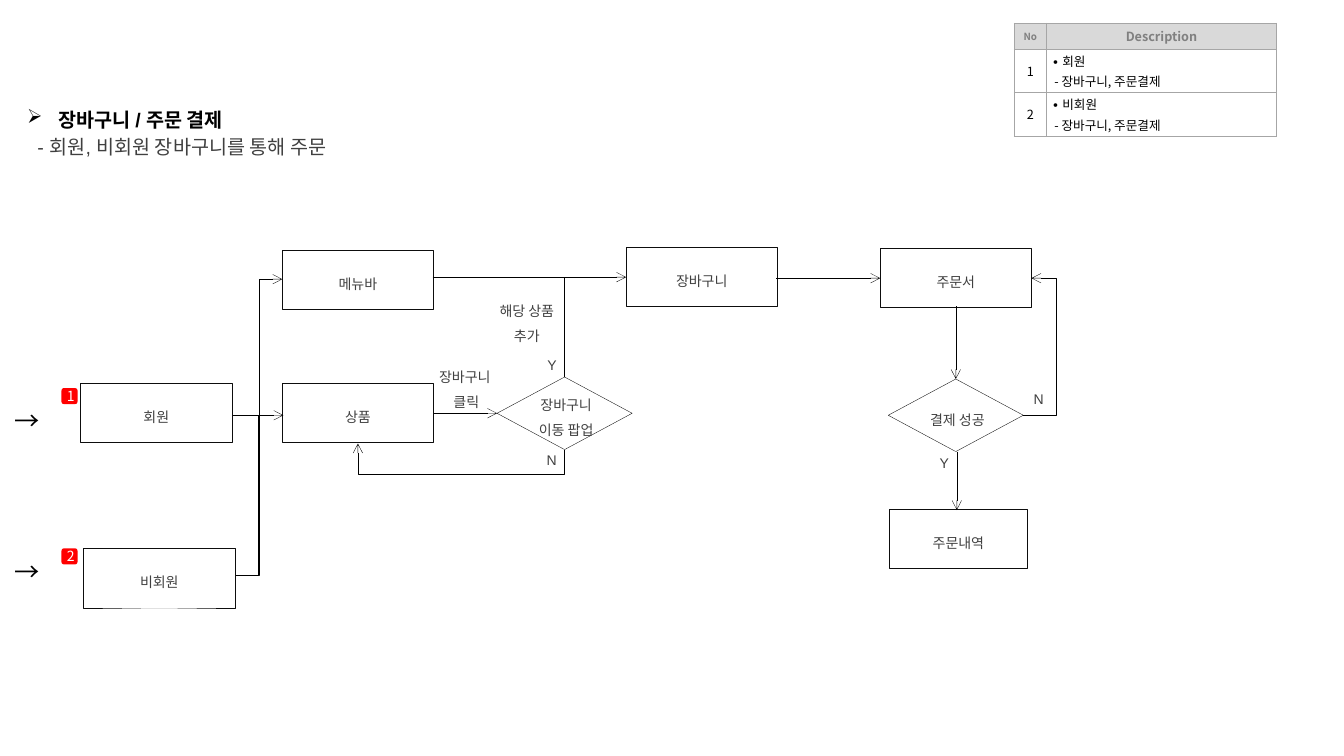
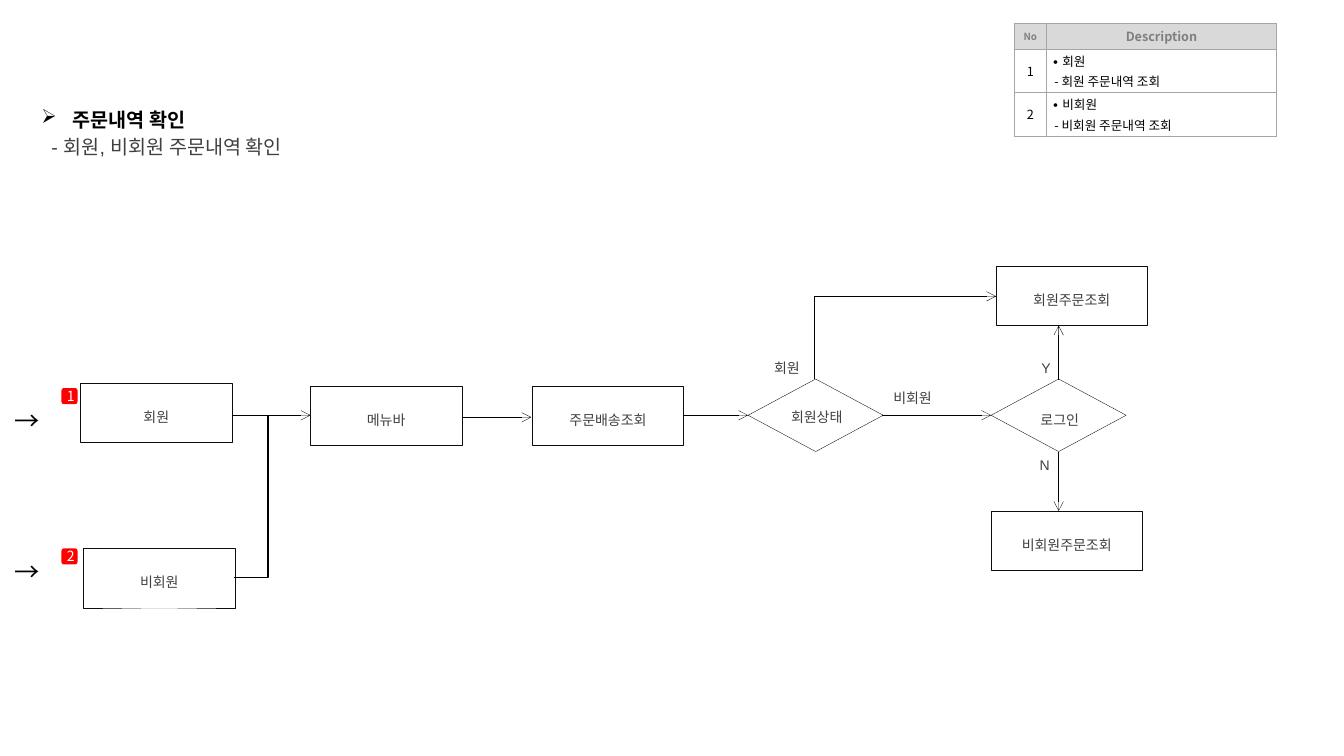
from dataclasses import dataclass

from pptx import Presentation
from pptx import util as u
from pptx.dml.color import RGBColor
from pptx.enum import shapes as kinds
from pptx.enum import text as t
from pptx.oxml import ns
from lxml import etree

SHAPE = kinds.MSO_SHAPE
TOP, LEFT, BOTTOM, RIGHT = range(4)


@dataclass(frozen=True)
class Theme:
    """Colours, fonts and type sizes of the deck."""
    white: str = "FFFFFF"
    black: str = "000000"
    outline: str = "0D0D0D"
    body: str = "404040"
    badge: str = "FF0000"
    header_fill: str = "D9D9D9"
    header_text: str = "808080"
    grid: str = "A6A6A6"
    font: str = "Arial"
    korean: str = "Noto Sans CJK KR"
    heading: float = 14
    entry: float = 18
    label: float = 10
    table: float = 9
    number_header: float = 7
    thin: float = 0.25
    thick: float = 1


THEME = Theme()


def color(value):
    """Turn a hex string into a colour."""
    return RGBColor.from_string(value)


def inches(*values):
    """Convert several numbers to lengths."""
    return [u.Inches(value) for value in values]


def add_xml(parent, tag, **attributes):
    """Append a drawing element to a parent element."""
    return etree.SubElement(parent, ns.qn(tag), **attributes)


def write(frame, content, size=THEME.label, ink=THEME.body, font=THEME.font,
          bold=False, align=t.PP_ALIGN.LEFT, spacing=1.0, before=0, after=0):
    """Fill a text frame with one formatted paragraph per line."""
    frame.text = content
    for paragraph in frame.paragraphs:
        paragraph.alignment = align
        paragraph.line_spacing = spacing
        paragraph.space_before = u.Pt(before)
        paragraph.space_after = u.Pt(after)
        for run in paragraph.runs:
            run.font.size = u.Pt(size)
            run.font.bold = bold
            run.font.name = font
            run.font.color.rgb = color(ink)
            add_xml(run.font._element, "a:ea", typeface=THEME.korean)


def place(shape, left, top, width, height):
    """Move and size a shape."""
    shape.left, shape.top, shape.width, shape.height = inches(left, top, width, height)


def clear_margins(frame):
    """Remove the insets of a text frame."""
    frame.margin_left = frame.margin_right = frame.margin_top = frame.margin_bottom = 0


def add_heading(slide, left, title, subtitle):
    """Fill the title and body placeholders."""
    heading, body = slide.placeholders
    place(heading, left, 1.02, 4.76, 0.25)
    place(body, left, 1.29, 5.22, 0.34)
    for shape in (heading, body):
        shape.text_frame.word_wrap = True
        shape.text_frame.vertical_anchor = t.MSO_ANCHOR.TOP
        shape.text_frame.auto_size = t.MSO_AUTO_SIZE.SHAPE_TO_FIT_TEXT
    clear_margins(heading.text_frame)
    write(heading.text_frame, title, size=THEME.heading, ink=THEME.black, bold=True,
          spacing=1.2)
    write(body.text_frame, subtitle, size=THEME.heading, after=6)
    hang = u.Inches(0.31)
    set_bullet(heading.text_frame.paragraphs[0], hang, "a:buChar", char="➢")
    set_bullet(body.text_frame.paragraphs[0], 0, "a:buNone")


def set_bullet(paragraph, hang, tag, **attributes):
    """Give a paragraph its bullet and hanging indent."""
    properties = paragraph._p.get_or_add_pPr()
    properties.set("marL", str(hang))
    properties.set("indent", str(-hang))
    add_xml(properties, tag, **attributes)


def add_shape(slide, kind, frame, fill, outline=None):
    """Add a flat preset shape."""
    shape = slide.shapes.add_shape(kind, *inches(*frame))
    shape.shadow.inherit = False
    shape.fill.solid()
    shape.fill.fore_color.rgb = color(fill)
    if outline:
        shape.line.color.rgb = color(outline)
        shape.line.width = u.Pt(THEME.thin)
    else:
        shape.line.fill.background()
    shape.text_frame.vertical_anchor = t.MSO_ANCHOR.MIDDLE
    return shape


def add_box(slide, left, top, content, width=1.5):
    """Add a process box."""
    box = add_shape(slide, SHAPE.RECTANGLE, (left, top, width, 0.59),
                    THEME.white, THEME.outline)
    write(box.text_frame, content, align=t.PP_ALIGN.CENTER, spacing=1.5)
    return box


def add_text(slide, frame, content, **style):
    """Add an unwrapped text box."""
    box = slide.shapes.add_textbox(*inches(*frame))
    box.text_frame.word_wrap = False
    box.text_frame.auto_size = t.MSO_AUTO_SIZE.SHAPE_TO_FIT_TEXT
    write(box.text_frame, content, **style)


def add_branch(slide, left, top, content, width=0.31):
    """Add the label of a decision branch."""
    add_text(slide, (left, top, width, 0.27), content, align=t.PP_ALIGN.RIGHT)


def add_decision(slide, left, top, content, text_frame):
    """Add a decision diamond with its text over it."""
    diamond = add_shape(slide, SHAPE.FLOWCHART_DECISION, (left, top, 1.34, 0.72),
                        THEME.white, THEME.outline)
    add_text(slide, text_frame, content, align=t.PP_ALIGN.CENTER, spacing=1.5)
    return diamond


def add_caption(slide, left, top, content):
    """Add a white two-line caption."""
    caption = add_shape(slide, SHAPE.RECTANGLE, (left, top, 1.41, 0.3), THEME.white)
    caption.text_frame.word_wrap = False
    clear_margins(caption.text_frame)
    write(caption.text_frame, content, align=t.PP_ALIGN.CENTER, spacing=1.5)


def add_route(slide, *points, start=None, end=None, weight=THEME.thin, arrow=True):
    """Draw a connector along right-angled points."""
    (x1, y1), (x2, y2) = points[0], points[-1]
    bends = len(points) - 2
    upright = bends > 0 and points[1][0] == x1
    run, rise = (y2 - y1, x1 - x2) if upright else (x2 - x1, y2 - y1)
    middle_x, middle_y = (x1 + x2) / 2, (y1 + y2) / 2
    ends = inches(middle_x - run / 2, middle_y - rise / 2,
                  middle_x + run / 2, middle_y + rise / 2)
    kind = kinds.MSO_CONNECTOR.ELBOW if bends else kinds.MSO_CONNECTOR.STRAIGHT
    connector = slide.shapes.add_connector(kind, *ends)
    if start:
        connector.begin_connect(*start)
    if end:
        connector.end_connect(*end)
    connector.begin_x, connector.begin_y, connector.end_x, connector.end_y = ends
    if upright:
        connector.rotation = 90
    properties = connector._element.spPr
    geometry = properties.find(ns.qn("a:prstGeom"))
    if bends == 1:
        geometry.set("prst", "bentConnector2")
    elif bends == 2:
        first = points[1][1] - y1 if upright else points[1][0] - x1
        add_xml(geometry.find(ns.qn("a:avLst")), "a:gd", name="adj1",
                fmla=f"val {round(first / run * 100000)}")
    connector.line.color.rgb = color(THEME.black)
    connector.line.width = u.Pt(weight)
    if arrow:
        add_xml(properties.find(ns.qn("a:ln")), "a:tailEnd", type="arrow")
    add_xml(properties, "a:effectLst")


def format_cell(cell, content, fill, **style):
    """Write a table cell with its borders and fill."""
    properties = cell._tc.get_or_add_tcPr()
    for side in ("a:lnL", "a:lnR", "a:lnT", "a:lnB"):
        border = add_xml(properties, side, w=str(u.Pt(0.5)))
        add_xml(add_xml(border, "a:solidFill"), "a:srgbClr", val=THEME.grid)
    cell.fill.solid()
    cell.fill.fore_color.rgb = color(fill)
    cell.margin_left = cell.margin_right = u.Inches(0.05)
    cell.margin_top = cell.margin_bottom = 0
    cell.vertical_anchor = t.MSO_ANCHOR.MIDDLE
    write(cell.text_frame, content, font=THEME.korean, before=1.8, **style)


def add_description(slide, notes):
    """Add the numbered description table."""
    frame = slide.shapes.add_table(len(notes) + 1, 2, *inches(10.06, 0.23, 2.6, 1.12))
    table = frame.table
    for column, width in zip(table.columns, (0.32, 2.28)):
        column.width = u.Inches(width)
    for index, row in enumerate(table.rows):
        row.height = u.Inches(0.43 if index else 0.26)
    center = t.PP_ALIGN.CENTER
    headers = (("No", THEME.number_header), ("Description", THEME.table))
    for index, (content, size) in enumerate(headers):
        format_cell(table.cell(0, index), content, THEME.header_fill, size=size,
                    ink=THEME.header_text, bold=True, align=center)
    for index, note in enumerate(notes, 1):
        for column, (content, align) in enumerate(((str(index), center),
                                                   (note, t.PP_ALIGN.LEFT))):
            format_cell(table.cell(index, column), content, THEME.white,
                        size=THEME.table, ink=THEME.black, align=align)


def add_entries(slide):
    """Add the numbered member and guest entry points."""
    entries = (("회원", 0.8, 3.8, 3.85, 3.97), ("비회원", 0.83, 5.44, 5.44, 5.47))
    for number, (name, left, top, badge_top, arrow_top) in enumerate(entries, 1):
        add_box(slide, left, top, name)
        badge = add_shape(slide, SHAPE.ROUNDED_RECTANGLE, (0.61, badge_top, 0.16, 0.16),
                          THEME.badge)
        write(badge.text_frame, str(number), ink=THEME.white, font=THEME.korean,
              align=t.PP_ALIGN.CENTER)
        add_text(slide, (0.05, arrow_top, 0.44, 0.4), "→", size=THEME.entry,
                 ink=THEME.black, font=THEME.korean)


def build_order(slide):
    """Build the cart and payment flow."""
    add_caption(slide, 4.52, 3.02, "해당 상품\n추가")
    add_caption(slide, 3.92, 3.67, "장바구니 \n클릭")
    add_heading(slide, 0.27, "장바구니 / 주문 결제", "- 회원, 비회원 장바구니를 통해 주문")
    add_description(slide, ("∙ 회원\n - 장바구니, 주문결제", "∙ 비회원\n - 장바구니, 주문결제"))
    add_entries(slide)
    product = add_box(slide, 2.8, 3.8, "상품")
    menu = add_box(slide, 2.8, 2.48, "메뉴바")
    cart = add_box(slide, 6.21, 2.45, "장바구니")
    order = add_box(slide, 8.73, 2.46, "주문서")
    add_box(slide, 8.82, 5.05, "주문내역", width=1.37)
    popup = add_decision(slide, 4.93, 3.74, "장바구니\n이동 팝업", (5.21, 3.8, 0.81, 0.57))
    payment = add_decision(slide, 8.81, 3.76, "결제 성공", (9.09, 3.95, 0.81, 0.32))
    add_route(slide, (5.6, 3.74), (5.6, 2.75), (6.21, 2.75),
              start=(popup, TOP), end=(cart, LEFT))
    add_route(slide, (5.6, 4.46), (5.6, 4.71), (3.55, 4.71), (3.55, 4.4),
              start=(popup, BOTTOM), end=(product, BOTTOM))
    add_route(slide, (10.15, 4.12), (10.48, 4.12), (10.48, 2.76), (10.23, 2.76),
              start=(payment, RIGHT), end=(order, RIGHT))
    add_route(slide, (2.57, 4.15), (2.57, 2.77), (2.8, 2.77), end=(menu, LEFT))
    add_route(slide, (2.34, 5.71), (2.57, 5.71), (2.57, 4.12),
              weight=THEME.thick, arrow=False)
    add_route(slide, (4.29, 2.75), (5.62, 2.75), weight=THEME.thick, arrow=False)
    for begin, finish in (((4.3, 4.1), (4.93, 4.1)), ((2.31, 4.12), (2.81, 4.12)),
                          ((7.7, 2.76), (8.73, 2.76)), ((9.48, 3.04), (9.48, 3.76)),
                          ((9.49, 4.48), (9.49, 5.06))):
        add_route(slide, begin, finish)
    for left, top, answer in ((5.31, 4.43, "N"), (10.14, 3.83, "N")):
        add_branch(slide, left, top, answer)
    for left, top, answer in ((5.33, 3.49, "Y"), (9.22, 4.46, "Y")):
        add_branch(slide, left, top, answer, width=0.28)


def build_history(slide):
    """Build the order history flow."""
    add_heading(slide, 0.41, "주문내역 확인", "- 회원, 비회원 주문내역 확인")
    add_description(slide, ("∙ 회원\n - 회원 주문내역 조회", "∙ 비회원\n - 비회원 주문내역 조회"))
    add_entries(slide)
    add_box(slide, 3.08, 3.83, "메뉴바")
    add_box(slide, 5.28, 3.83, "주문배송조회")
    member_orders = add_box(slide, 9.88, 2.64, "회원주문조회")
    add_box(slide, 9.83, 5.07, "비회원주문조회")
    status = add_decision(slide, 7.42, 3.76, "회원상태", (7.72, 3.92, 0.76, 0.32))
    add_decision(slide, 9.83, 3.76, "로그인", (10.2, 3.95, 0.62, 0.32))
    add_route(slide, (8.08, 3.76), (8.08, 2.94), (9.88, 2.94),
              start=(status, TOP), end=(member_orders, LEFT))
    add_route(slide, (2.32, 5.73), (2.66, 5.73), (2.66, 4.12),
              weight=THEME.thick, arrow=False)
    for begin, finish in (((2.31, 4.12), (3.08, 4.12)), ((4.58, 4.14), (5.27, 4.14)),
                          ((6.78, 4.12), (7.42, 4.12)), ((8.75, 4.12), (9.83, 4.12)),
                          ((10.5, 4.48), (10.5, 5.07)), ((10.5, 3.77), (10.5, 3.23))):
        add_route(slide, begin, finish)
    for left, top, answer, width in ((8.72, 3.82, "비회원", 0.62), (7.55, 3.52, "회원", 0.48),
                                     (10.2, 4.48, "N", 0.31), (10.23, 3.52, "Y", 0.28)):
        add_branch(slide, left, top, answer, width)


def main():
    """Build and save the presentation."""
    presentation = Presentation()
    presentation.slide_width, presentation.slide_height = inches(13.33, 7.5)
    for build in (build_order, build_history):
        build(presentation.slides.add_slide(presentation.slide_layouts[1]))
    presentation.save("out.pptx")


main()
